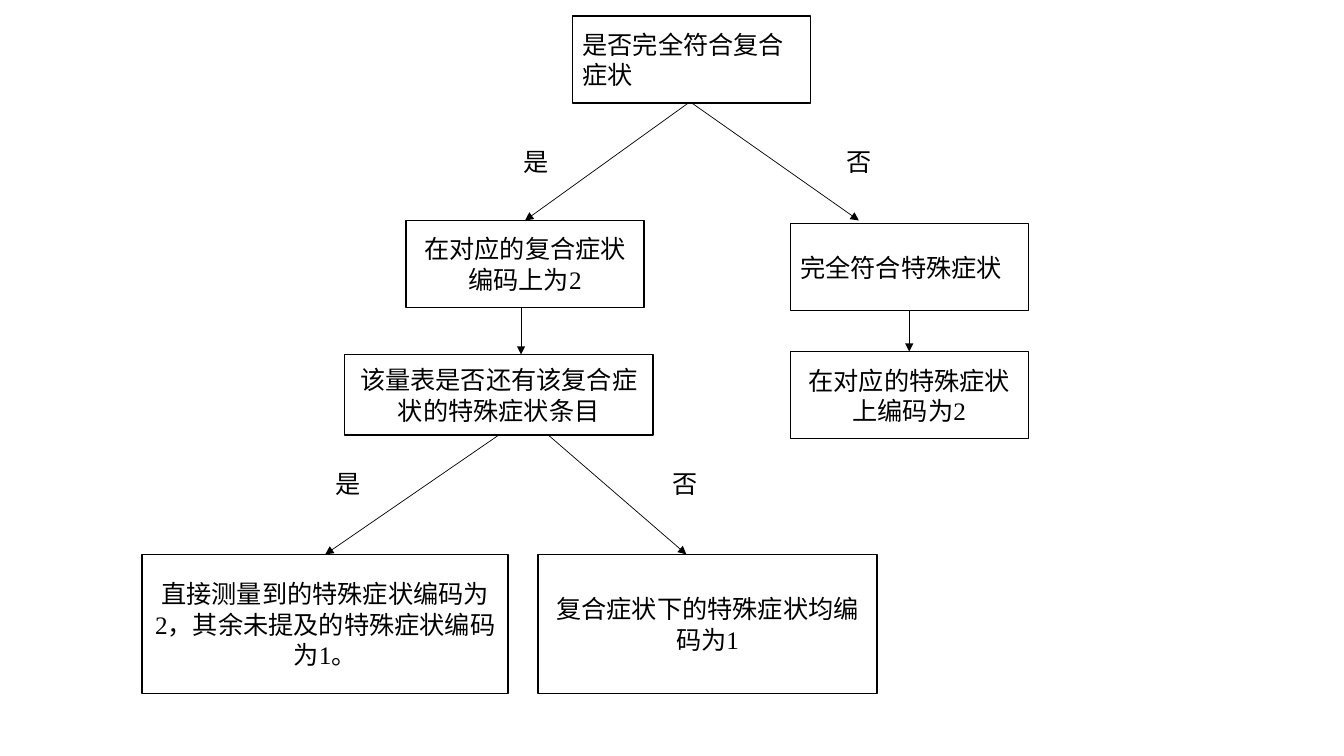
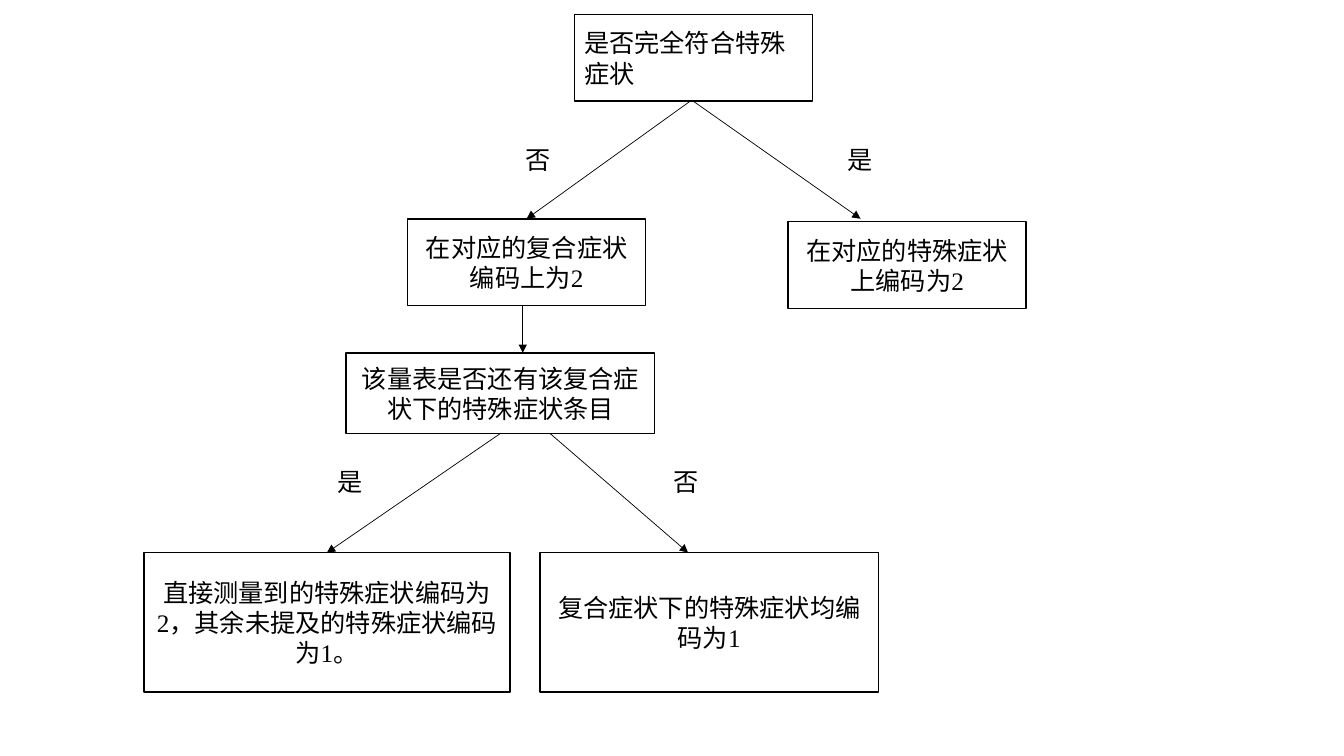
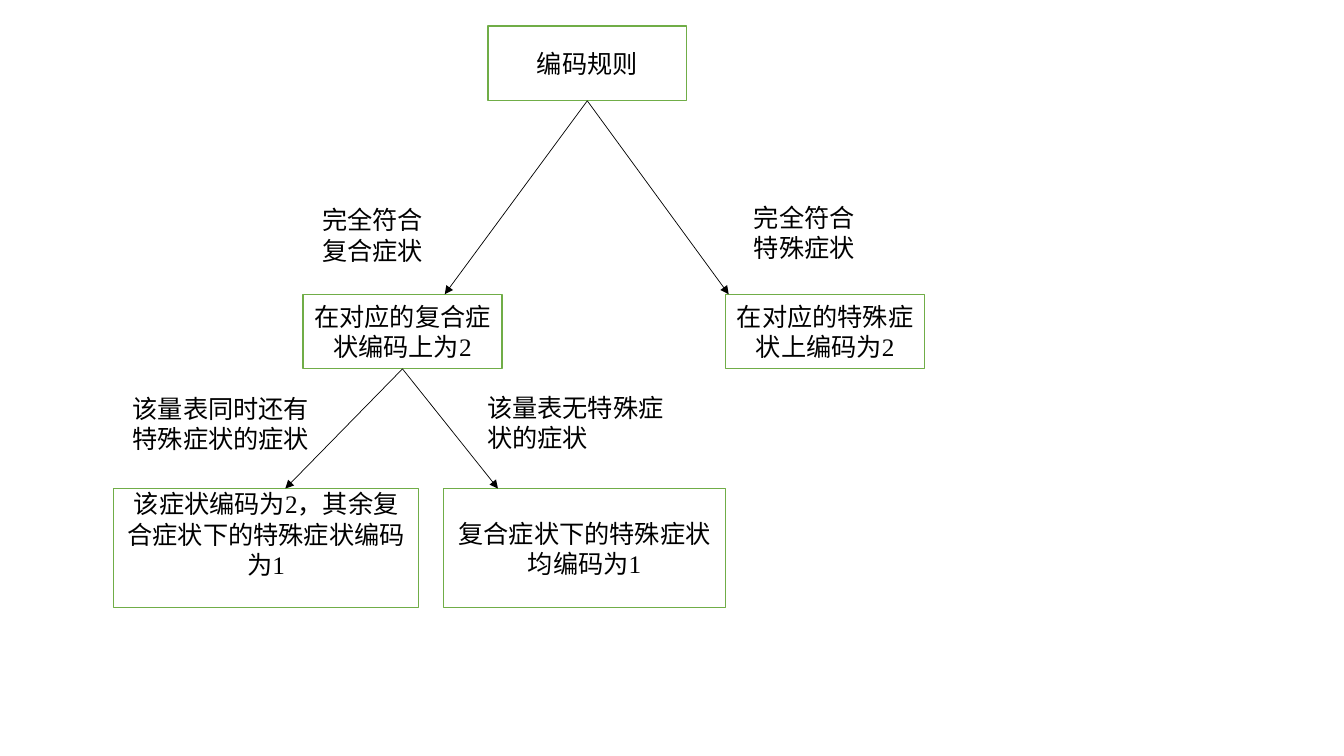
from dataclasses import dataclass
from typing import NamedTuple, Optional

from lxml.etree import SubElement
from pptx import Presentation
from pptx.dml.color import RGBColor
from pptx.enum.shapes import MSO_CONNECTOR as Connector, MSO_SHAPE as Preset
from pptx.enum.text import MSO_ANCHOR as Anchor, PP_ALIGN as Align
from pptx.oxml.ns import qn
from pptx.shapes.autoshape import Shape
from pptx.slide import Slide
from pptx.text.text import TextFrame
from pptx.util import Pt

BLACK = RGBColor(0x00, 0x00, 0x00)
WHITE = RGBColor(0xFF, 0xFF, 0xFF)
GREEN = RGBColor(0x70, 0xAD, 0x47)

BODY_FONT = "Times New Roman"
LABEL_FONT = "Noto Sans CJK SC"
FONT_SIZE = 18
TOP, BOTTOM = 0, 2

CODE_COMPOSITE = "在对应的复合症状编码上为2"
CODE_SPECIAL = "在对应的特殊症状上编码为2"
CODE_ALL_ONE = "复合症状下的特殊症状均编码为1"


class Point(NamedTuple):
    x: float
    y: float


class Site(NamedTuple):
    """The middle of one side of a box."""
    shape: Shape
    side: int


End = Point | Site


@dataclass(frozen=True)
class Box:
    left: float
    top: float
    width: float
    height: float
    text: str
    align: Align = Align.CENTER
    at_top: bool = False


@dataclass(frozen=True)
class Label:
    left: float
    top: float
    text: str
    width: float = 49
    height: float = 29


@dataclass(frozen=True)
class DecisionTree:
    """What differs between the two decision slides."""
    shift: float
    root: str
    root_answers: tuple[str, str]
    question: str
    right_box: Box
    right_result: Optional[Box] = None


def write_text(frame: TextFrame, text: str, font_name: str, align: Align) -> None:
    frame.word_wrap = True
    paragraph = frame.paragraphs[0]
    paragraph.text = text
    paragraph.alignment = align
    paragraph.font.name = font_name
    paragraph.font.size = Pt(FONT_SIZE)
    paragraph.font.color.rgb = BLACK


def add_box(slide: Slide, box: Box, line: RGBColor, shift: float = 0) -> Shape:
    shape = slide.shapes.add_shape(
        Preset.RECTANGLE, Pt(box.left + shift), Pt(box.top - shift),
        Pt(box.width), Pt(box.height))
    shape.shadow.inherit = False
    shape.fill.solid()
    shape.fill.fore_color.rgb = WHITE
    shape.line.color.rgb = line
    shape.line.width = Pt(1)
    frame = shape.text_frame
    frame.vertical_anchor = Anchor.MIDDLE
    if box.at_top:
        frame.vertical_anchor = Anchor.TOP
        frame.margin_top = 0
    write_text(frame, box.text, BODY_FONT, box.align)
    return shape


def add_label(slide: Slide, label: Label, font_name: str, shift: float = 0) -> None:
    text_box = slide.shapes.add_textbox(
        Pt(label.left + shift), Pt(label.top - shift),
        Pt(label.width), Pt(label.height))
    write_text(text_box.text_frame, label.text, font_name, Align.LEFT)


def add_arrow(slide: Slide, start: End, end: End, shift: float = 0) -> None:
    """Draw an arrow; an end given as a Site is joined to its box."""
    corners = [Pt(value) for point in (start, end)
               for value in ((point.x + shift, point.y - shift)
                             if isinstance(point, Point) else (0, 0))]
    connector = slide.shapes.add_connector(Connector.STRAIGHT, *corners)
    if isinstance(start, Site):
        connector.begin_connect(start.shape, start.side)
    if isinstance(end, Site):
        connector.end_connect(end.shape, end.side)
    connector.line.color.rgb = BLACK
    connector.line.width = Pt(0.5)
    SubElement(connector.line._get_or_add_ln(), qn("a:tailEnd"), type="triangle")
    SubElement(connector._element.spPr, qn("a:effectLst"))


def draw_decision_tree(slide: Slide, tree: DecisionTree) -> None:
    shift = tree.shift
    root, composite, question, measured, _ = [
        add_box(slide, box, BLACK, shift) for box in (
            Box(409, 11.5, 170, 62, tree.root, Align.LEFT),
            Box(290, 157.5, 170, 62, CODE_COMPOSITE),
            Box(246, 253.3, 220.5, 57.5, tree.question),
            Box(101.6, 396, 261.4, 99.4,
                "直接测量到的特殊症状编码为2，其余未提及的特殊症状编码为1。"),
            Box(384.4, 396, 242, 99.4, CODE_ALL_ONE),
        )]
    right_box = add_box(slide, tree.right_box, BLACK)
    if tree.right_result:
        right_result = add_box(slide, tree.right_result, BLACK)
        add_arrow(slide, Site(right_box, BOTTOM), Site(right_result, TOP))

    for start, end in (
        (Point(491.8, 73.5), Site(composite, TOP)),
        (Site(root, BOTTOM), Point(613.5, 157.5)),
        (Point(372.2, 219.5), Point(372.2, 253.3)),
        (Site(question, BOTTOM), Site(measured, TOP)),
        (Point(391.7, 310.8), Point(490.3, 396)),
    ):
        add_arrow(slide, start, end, shift)

    yes_root, no_root = tree.root_answers
    for label in (
        Label(367.2, 101, yes_root), Label(597.4, 101, no_root),
        Label(232.5, 331, "是"), Label(473, 331, "否"),
    ):
        add_label(slide, label, LABEL_FONT, shift)


def draw_coding_rules(slide: Slide) -> None:
    root, composite, *_ = [add_box(slide, box, GREEN) for box in (
        Box(348.5, 18.7, 142, 53.3, "编码规则"),
        Box(216.5, 210.2, 142, 53.3, CODE_COMPOSITE),
        Box(518.4, 210.2, 142, 53.3, CODE_SPECIAL),
        Box(81.1, 349, 218, 85, "该症状编码为2，其余复合症状下的特殊症状编码为1",
            at_top=True),
        Box(316.8, 349, 201.6, 85, CODE_ALL_ONE),
    )]
    for source, tip in (
        (root, Point(317.7, 210.2)), (root, Point(520.5, 210.2)),
        (composite, Point(203.8, 349)), (composite, Point(355.7, 349)),
    ):
        add_arrow(slide, Site(source, BOTTOM), tip)
    for label in (
        Label(223, 142.6, "完全符合复合症状", 90, 51),
        Label(531.4, 141, "完全符合特殊症状", 90, 51),
        Label(87.8, 277.4, "该量表同时还有特殊症状的症状", 149.5, 51),
        Label(340.8, 276.6, "该量表无特殊症状的症状", 149.5, 51),
    ):
        add_label(slide, label, BODY_FONT)


DECISION_TREES = (
    DecisionTree(
        shift=0,
        root="是否完全符合复合症状",
        root_answers=("是", "否"),
        question="该量表是否还有该复合症状的特殊症状条目",
        right_box=Box(564.5, 159.8, 170, 62, "完全符合特殊症状", Align.LEFT),
        right_result=Box(564.5, 251.2, 170, 62, CODE_SPECIAL),
    ),
    DecisionTree(
        shift=1.2,
        root="是否完全符合特殊症状",
        root_answers=("否", "是"),
        question="该量表是否还有该复合症状下的特殊症状条目",
        right_box=Box(563, 158.4, 170, 62, CODE_SPECIAL),
    ),
)


def main() -> None:
    presentation = Presentation()
    presentation.slide_width = Pt(960)
    presentation.slide_height = Pt(540)
    blank = presentation.slide_layouts[6]
    for tree in DECISION_TREES:
        draw_decision_tree(presentation.slides.add_slide(blank), tree)
    draw_coding_rules(presentation.slides.add_slide(blank))
    presentation.save("out.pptx")


if __name__ == "__main__":
    main()
